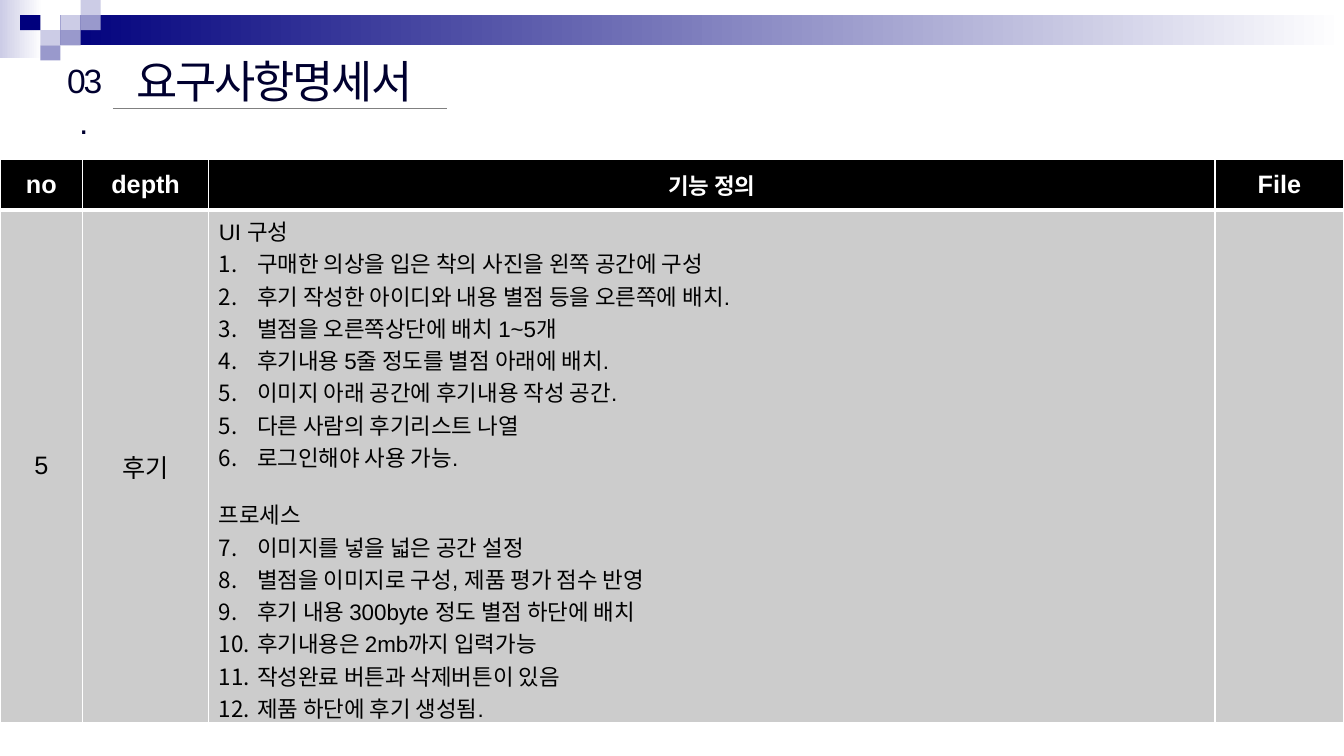
from lxml.etree import SubElement
from pptx import Presentation
from pptx.dml.color import RGBColor
from pptx.enum.shapes import MSO_CONNECTOR, MSO_SHAPE
from pptx.enum.text import MSO_ANCHOR, PP_ALIGN
from pptx.oxml import parse_xml
from pptx.oxml.ns import qn
from pptx.util import Pt

PX = 9144
NAVY, LAVENDER, PERIWINKLE = "00007D", "CCCCE6", "9999CC"
WHITE, BLACK, GREY, INK = "FFFFFF", "000000", "CCCCCC", "00002F"
DRAWING = "http://schemas.openxmlformats.org/drawingml/2006/main"

SQUARES = [
    (3, 1, LAVENDER), (4, 0, LAVENDER), (4, 1, PERIWINKLE), (2, 2, LAVENDER),
    (1, 1, NAVY), (3, 2, PERIWINKLE), (2, 3, PERIWINKLE),
]
COLUMNS = [("no", 82, 18), ("depth", 125, 18), ("기능 정의", 998, 16), ("File", 128, 18)]
ROW_HEIGHTS = [50, 509]
SECTIONS = [
    ("UI 구성", [
        (1, ["구매한 의상을 입은 착의 사진을 왼쪽 공간에 구성",
             "후기 작성한 아이디와 내용 별점 등을 오른쪽에 배치.",
             "별점을 오른쪽상단에 배치 1~5개",
             "후기내용 5줄 정도를 별점 아래에 배치.",
             "이미지 아래 공간에 후기내용 작성 공간."]),
        (5, ["다른 사람의 후기리스트 나열",
             "로그인해야 사용 가능."]),
    ]),
    ("프로세스", [
        (7, ["이미지를 넣을 넓은 공간 설정",
             "별점을 이미지로 구성, 제품 평가 점수 반영",
             "후기 내용 300byte 정도 별점 하단에 배치",
             "후기내용은 2mb까지 입력가능",
             "작성완료 버튼과 삭제버튼이 있음",
             "제품 하단에 후기 생성됨."]),
    ]),
]


def color(value):
    return RGBColor.from_string(value)


def write(paragraph, text, size=18, fill=BLACK, bold=False, align=PP_ALIGN.CENTER, spacing=None):
    paragraph.alignment = align
    run = paragraph.add_run()
    run.text = text
    run.font.name = "Arial"
    run.font.size = Pt(size)
    run.font.bold = bold
    run.font.color.rgb = color(fill)
    if spacing is not None:
        run.font._element.set("spc", str(int(spacing * 100)))


def add_rectangle(slide, left, top, width, height, fill, fade=None):
    shape = slide.shapes.add_shape(
        MSO_SHAPE.RECTANGLE, left * PX, top * PX, width * PX, height * PX)
    shape.shadow.inherit = False
    shape.line.fill.background()
    if fade is None:
        shape.fill.solid()
        shape.fill.fore_color.rgb = color(fill)
        return
    shape.fill.gradient()
    shape.fill.gradient_angle = 0
    for stop, value in zip(shape.fill.gradient_stops, (fill, fade)):
        stop.color.rgb = color(value)


def add_rule(slide, left, top, right, fill):
    line = slide.shapes.add_connector(
        MSO_CONNECTOR.STRAIGHT, left * PX, top * PX, right * PX, top * PX)
    line.line.color.rgb = color(fill)
    line.line.width = Pt(0.75)
    SubElement(line._element.spPr, qn("a:effectLst"))


def add_label(slide, left, top, width, height, text, size, wrap):
    box = slide.shapes.add_textbox(left * PX, top * PX, width * PX, height * PX)
    box.text_frame.word_wrap = wrap
    write(box.text_frame.paragraphs[0], text, size=size, fill=INK, spacing=-1.5)


def style_cell(cell, fill, bottom=1):
    cell.fill.solid()
    cell.fill.fore_color.rgb = color(fill)
    cell.vertical_anchor = MSO_ANCHOR.MIDDLE
    properties = cell._tc.get_or_add_tcPr()
    for index, (side, width) in enumerate([("L", 1), ("R", 1), ("T", 1), ("B", bottom)]):
        properties.insert(index, parse_xml(
            f'<a:ln{side} xmlns:a="{DRAWING}" w="{Pt(width)}"><a:solidFill>'
            f'<a:srgbClr val="{WHITE}"/></a:solidFill></a:ln{side}>'))


def hang(paragraph, start=None):
    properties = paragraph._p.get_or_add_pPr()
    properties.set("marL", str(38 * PX))
    properties.set("indent", str(-38 * PX))
    if start is None:
        SubElement(properties, qn("a:buNone"))
        return
    numbering = SubElement(properties, qn("a:buAutoNum"), type="arabicPeriod")
    if start > 1:
        numbering.set("startAt", str(start))


def fill_definition(cell):
    frame = cell.text_frame
    cell.vertical_anchor = MSO_ANCHOR.TOP
    for number, (heading, lists) in enumerate(SECTIONS):
        paragraph = frame.add_paragraph() if number else frame.paragraphs[0]
        if number:
            paragraph.space_before = Pt(18)
        hang(paragraph)
        write(paragraph, heading, size=16, align=PP_ALIGN.LEFT)
        for start, items in lists:
            for item in items:
                paragraph = frame.add_paragraph()
                hang(paragraph, start)
                write(paragraph, item, size=16, align=PP_ALIGN.LEFT)


def add_requirements(slide, left, top):
    width = sum(column[1] for column in COLUMNS)
    table = slide.shapes.add_table(
        2, len(COLUMNS), left * PX, top * PX, width * PX, sum(ROW_HEIGHTS) * PX).table
    for row, height in zip(table.rows, ROW_HEIGHTS):
        row.height = height * PX
    for index, (heading, column_width, size) in enumerate(COLUMNS):
        table.columns[index].width = column_width * PX
        header = table.cell(0, index)
        style_cell(header, BLACK, bottom=3)
        write(header.text_frame.paragraphs[0], heading, size=size, fill=WHITE, bold=True)
        style_cell(table.cell(1, index), GREY)
    for index, text in enumerate(["5", "후기"]):
        write(table.cell(1, index).text_frame.paragraphs[0], text)
    fill_definition(table.cell(1, 2))


def main():
    presentation = Presentation()
    presentation.slide_width = 1333 * PX
    presentation.slide_height = 750 * PX
    slide = presentation.slides.add_slide(presentation.slide_layouts[6])
    add_rectangle(slide, 0, 0, 42, 58, LAVENDER, fade=WHITE)
    add_rectangle(slide, 60, 15, 1273, 30, NAVY, fade=WHITE)
    for column, row, fill in SQUARES:
        add_rectangle(slide, column * 20, row * 15, 20, 15, fill)
    add_rule(slide, 112, 108, 443, "808080")
    add_label(slide, 112, 48, 320, 64, "요구사항명세서", 32, wrap=False)
    add_label(slide, 54, 55, 58, 50, "03.", 24, wrap=True)
    add_requirements(slide, 0, 158)
    presentation.save("out.pptx")


if __name__ == "__main__":
    main()
